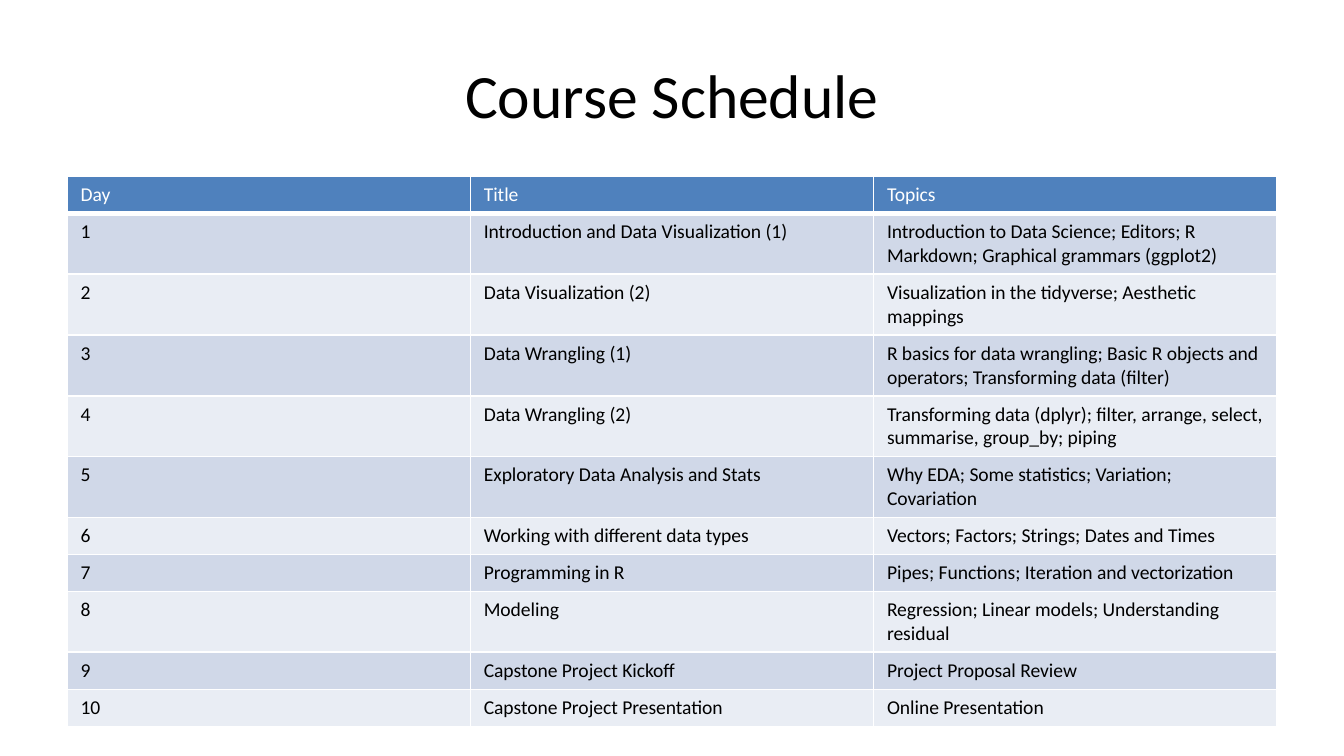
from dataclasses import dataclass

from lxml import etree
from pptx import Presentation
from pptx.dml.color import RGBColor
from pptx.enum import text
from pptx.oxml import ns
from pptx.util import Cm, Pt


@dataclass(frozen=True)
class Theme:
    """Colours, font and type sizes of the slide."""
    font: str = "Calibri"
    title_size: float = 33
    table_size: float = 10.5
    ink: str = "000000"
    paper: str = "FFFFFF"
    header: str = "4F81BD"
    bands: tuple = ("D0D8E8", "E9EDF4")


HEADINGS = ("Day", "Title", "Topics")
COURSES = [
    ("Introduction and Data Visualization (1)",
     "Introduction to Data Science; Editors; R Markdown; Graphical grammars (ggplot2)"),
    ("Data Visualization (2)", "Visualization in the tidyverse; Aesthetic mappings"),
    ("Data Wrangling (1)",
     "R basics for data wrangling; Basic R objects and operators; Transforming data (filter)"),
    ("Data Wrangling (2)",
     "Transforming data (dplyr); filter, arrange, select, summarise, group_by; piping"),
    ("Exploratory Data Analysis and Stats", "Why EDA; Some statistics; Variation; Covariation"),
    ("Working with different data types", "Vectors; Factors; Strings; Dates and Times"),
    ("Programming in R", "Pipes; Functions; Iteration and vectorization"),
    ("Modeling", "Regression; Linear models; Understanding residual"),
    ("Capstone Project Kickoff", "Project Proposal Review"),
    ("Capstone Project Presentation", "Online Presentation"),
]
LINE_CAPACITY = 46
ROW_HEIGHT, WRAPPED_ROW_HEIGHT = Cm(0.69), Cm(1.15)


class SlideBuilder:
    """Adds styled elements to the current slide."""

    def __init__(self, slide, theme):
        """Keep the slide and its theme."""
        self.slide, self.theme = slide, theme

    def style(self, paragraph, size, color):
        """Set the font of a paragraph."""
        font = paragraph.font
        font.name, font.size, font.bold = self.theme.font, Pt(size), False
        font.color.rgb = RGBColor.from_string(color)

    def title(self, words, left, top, width, height):
        """Add a centred title."""
        frame = self.slide.shapes.add_textbox(left, top, width, height).text_frame
        frame.word_wrap = True
        frame.vertical_anchor = text.MSO_ANCHOR.MIDDLE
        paragraph = frame.paragraphs[0]
        paragraph.text = words
        paragraph.alignment = text.PP_ALIGN.CENTER
        self.style(paragraph, self.theme.title_size, self.theme.ink)

    def borders(self, cell, bottom_width):
        """Draw the four edges of a cell."""
        properties = cell._tc.get_or_add_tcPr()
        for edge, width in (("L", 1), ("R", 1), ("T", 1), ("B", bottom_width)):
            line = etree.SubElement(properties, ns.qn(f"a:ln{edge}"), w=str(Pt(width)))
            fill = etree.SubElement(line, ns.qn("a:solidFill"))
            etree.SubElement(fill, ns.qn("a:srgbClr"), val=self.theme.paper)

    def cell(self, cell, words, fill, color, bottom_width):
        """Write and colour one table cell."""
        cell.text = words
        self.style(cell.text_frame.paragraphs[0], self.theme.table_size, color)
        self.borders(cell, bottom_width)
        cell.fill.solid()
        cell.fill.fore_color.rgb = RGBColor.from_string(fill)

    def table(self, rows, left, top, width):
        """Add a banded table whose first row is the header."""
        theme = self.theme
        heights = [WRAPPED_ROW_HEIGHT if len(row[-1]) > LINE_CAPACITY else ROW_HEIGHT
                   for row in rows]
        table = self.slide.shapes.add_table(
            len(rows), len(rows[0]), left, top, width, sum(heights)).table
        for index, (row, height) in enumerate(zip(rows, heights)):
            table.rows[index].height = height
            if index == 0:
                look = (theme.header, theme.paper, 3)
            else:
                look = (theme.bands[(index - 1) % 2], theme.ink, 1)
            for column, words in enumerate(row):
                self.cell(table.cell(index, column), words, *look)


def main():
    """Build and save the course schedule."""
    presentation = Presentation()
    presentation.slide_width, presentation.slide_height = Cm(25.4), Cm(14.28)
    slide = presentation.slides.add_slide(presentation.slide_layouts[6])
    builder = SlideBuilder(slide, Theme())
    left, width = Cm(1.27), Cm(22.86)
    builder.title("Course Schedule", left, Cm(0.58), width, Cm(2.39))
    rows = [HEADINGS] + [(str(day), *course) for day, course in enumerate(COURSES, 1)]
    builder.table(rows, left, Cm(3.33), width)
    presentation.save("out.pptx")


main()
